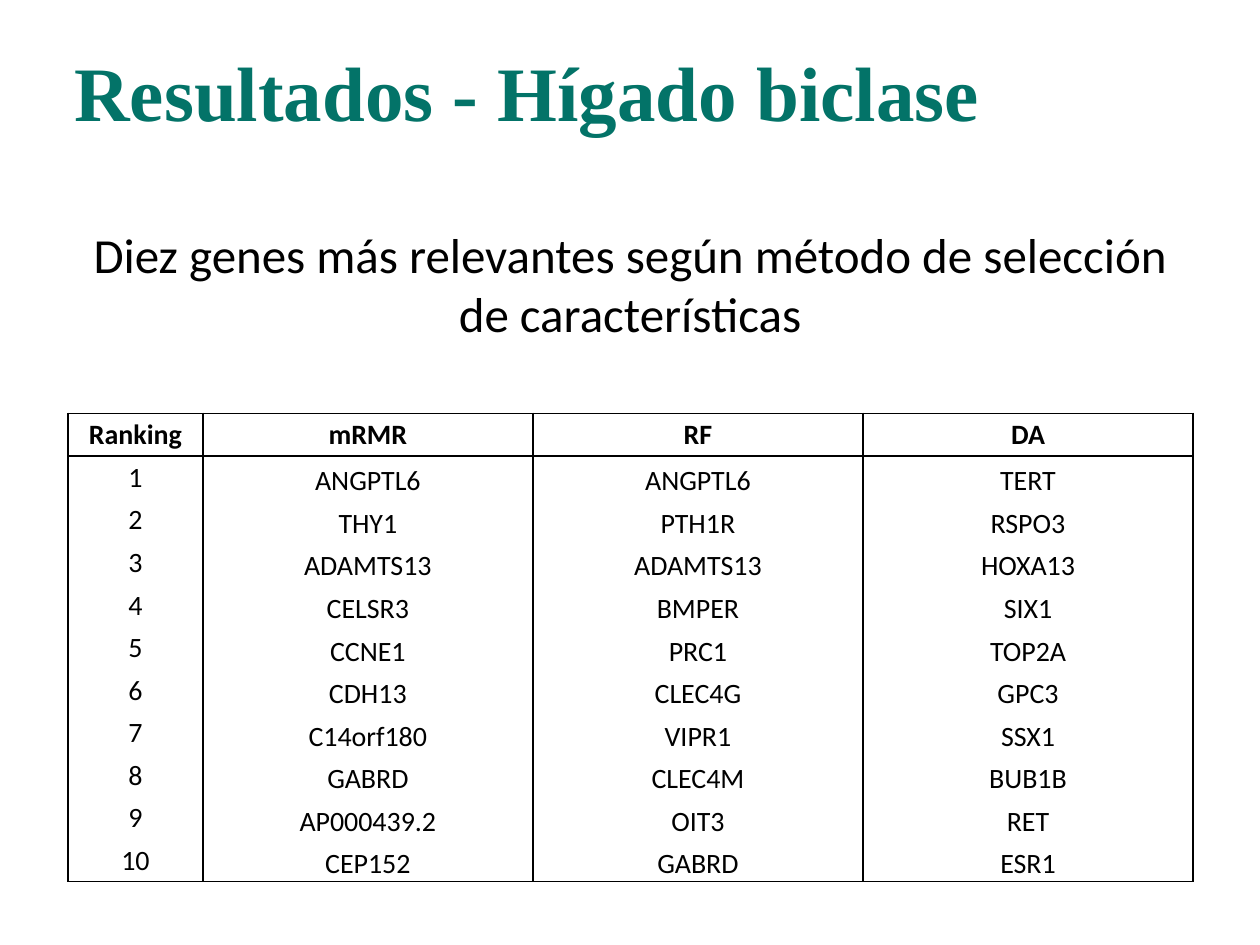
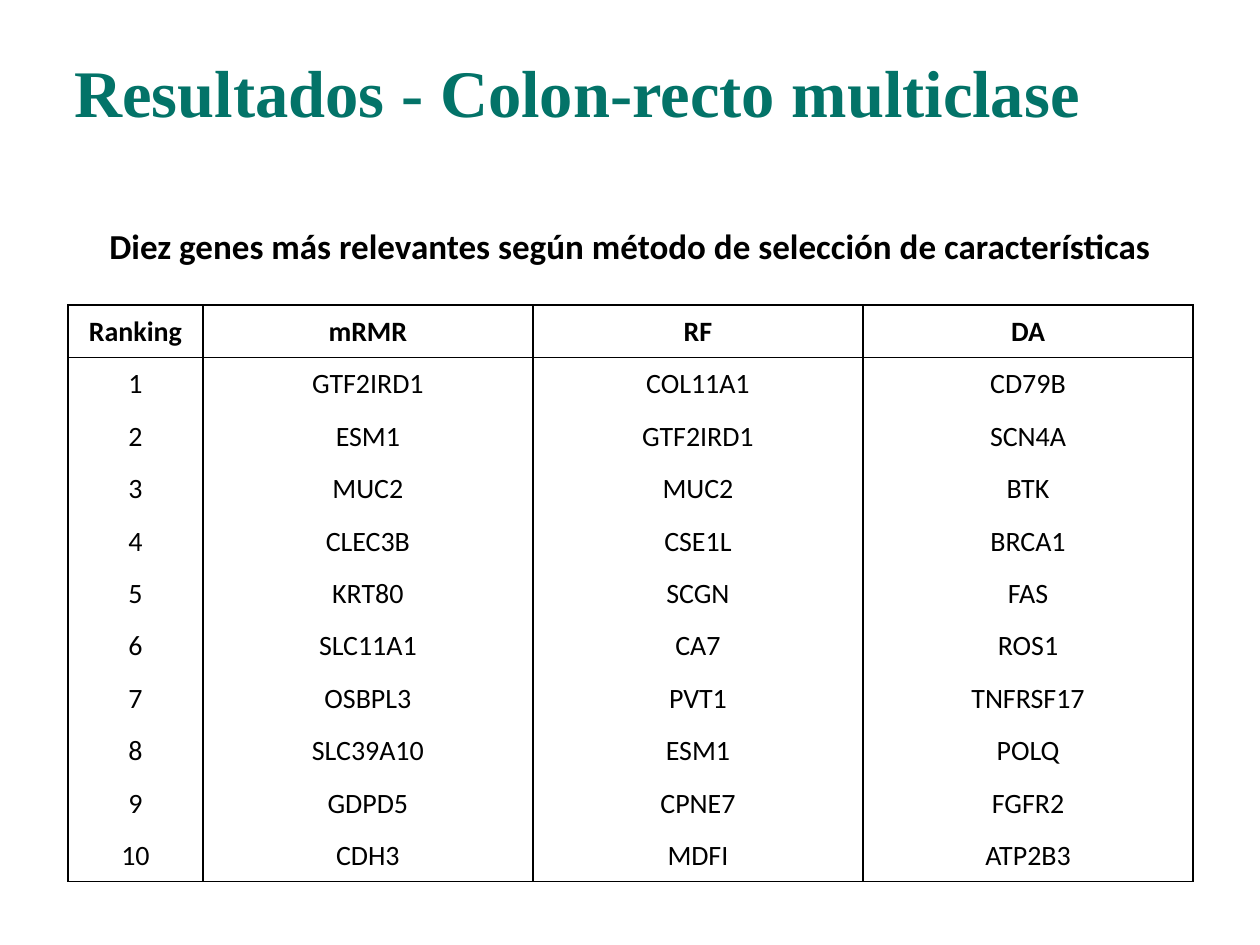
from lxml import etree
from pptx import Presentation
from pptx.dml.color import RGBColor
from pptx.enum.text import MSO_ANCHOR, PP_ALIGN
from pptx.oxml.ns import qn
from pptx.util import Inches, Pt

TOP, MIDDLE, BOTTOM = MSO_ANCHOR.TOP, MSO_ANCHOR.MIDDLE, MSO_ANCHOR.BOTTOM
LEFT, CENTER = PP_ALIGN.LEFT, PP_ALIGN.CENTER

GREEN, BLACK = "037368", "000000"
TITLE_FONT, BODY_FONT = "Times New Roman", "Calibri"
SUBTITLE = "Diez genes más relevantes según método de selección de características"
HEADER = ("Ranking", "mRMR", "RF", "DA")
COLUMN_WIDTHS = (1.07, 2.62, 2.62, 2.62)
TABLE_LEFT, TABLE_BOTTOM = 0.54, 7.0

LIVER_GENES = (
    ("ANGPTL6", "ANGPTL6", "TERT"),
    ("THY1", "PTH1R", "RSPO3"),
    ("ADAMTS13", "ADAMTS13", "HOXA13"),
    ("CELSR3", "BMPER", "SIX1"),
    ("CCNE1", "PRC1", "TOP2A"),
    ("CDH13", "CLEC4G", "GPC3"),
    ("C14orf180", "VIPR1", "SSX1"),
    ("GABRD", "CLEC4M", "BUB1B"),
    ("AP000439.2", "OIT3", "RET"),
    ("CEP152", "GABRD", "ESR1"),
)
COLON_GENES = (
    ("GTF2IRD1", "COL11A1", "CD79B"),
    ("ESM1", "GTF2IRD1", "SCN4A"),
    ("MUC2", "MUC2", "BTK"),
    ("CLEC3B", "CSE1L", "BRCA1"),
    ("KRT80", "SCGN", "FAS"),
    ("SLC11A1", "CA7", "ROS1"),
    ("OSBPL3", "PVT1", "TNFRSF17"),
    ("SLC39A10", "ESM1", "POLQ"),
    ("GDPD5", "CPNE7", "FGFR2"),
    ("CDH3", "MDFI", "ATP2B3"),
)


def color(value):
    """Turn a hex string into a colour."""
    return RGBColor.from_string(value)


def set_values(target, values):
    """Set attributes of an object from a dict."""
    for name, value in values.items():
        setattr(target, name, value)


def set_margins(target, margins):
    """Set left, top, right and bottom margins in inches."""
    for side, margin in zip(("left", "top", "right", "bottom"), margins):
        setattr(target, f"margin_{side}", Inches(margin))


def draw_borders(cell, sides):
    """Draw one-point borders on the given sides and clear the others."""
    properties = cell._tc.get_or_add_tcPr()
    for side in "LRTB":
        line = etree.SubElement(properties, qn(f"a:ln{side}"), w=str(Pt(1)))
        if side in sides:
            fill = etree.SubElement(line, qn("a:solidFill"))
            etree.SubElement(fill, qn("a:srgbClr"), val=BLACK)
        else:
            etree.SubElement(line, qn("a:noFill"))


class ResultsDeck:
    """Builds gene ranking slides in one style."""

    def __init__(self):
        """Start an empty deck."""
        self.deck = Presentation()
        self.deck.slide_width, self.deck.slide_height = Inches(10), Inches(7.5)
        self.page = None

    def add_page(self):
        """Start a new blank page."""
        self.page = self.deck.slides.add_slide(self.deck.slide_layouts[6])

    def add_text(self, frame, text, align, font, size, bold, ink=BLACK):
        """Put one formatted paragraph in a frame and return it."""
        para = frame.paragraphs[0]
        para.alignment = align
        span = para.add_run()
        span.text = text
        set_values(span.font, {"name": font, "size": Pt(size), "bold": bold})
        span.font.color.rgb = color(ink)
        return para

    def add_box(self, top, height, margins, anchor):
        """Add a full-width text box and return its frame."""
        box = self.page.shapes.add_textbox(0, Inches(top), Inches(10), Inches(height))
        set_values(box.text_frame, {"word_wrap": True, "vertical_anchor": anchor})
        set_margins(box.text_frame, margins)
        return box.text_frame

    def add_title(self, text, size):
        """Add the green page title."""
        frame = self.add_box(0, 1.34, (0.59, 0.24, 0.1, 0.05), MIDDLE)
        para = self.add_text(frame, text, LEFT, TITLE_FONT, size, True, GREEN)
        para.line_spacing = 0.9

    def add_subtitle(self, size, bold):
        """Add the centred line above the table."""
        frame = self.add_box(1.73, 5.41, (0.59, 0.05, 0.59, 0.05), TOP)
        self.add_text(frame, SUBTITLE, CENTER, BODY_FONT, size, bold)

    def add_ranking(self, genes, top, gene_anchor):
        """Add the table of ranked genes."""
        rows = [HEADER] + [(str(rank), *names) for rank, names in enumerate(genes, 1)]
        height = TABLE_BOTTOM - top
        table = self.page.shapes.add_table(
            len(rows), len(HEADER), Inches(TABLE_LEFT), Inches(top),
            Inches(sum(COLUMN_WIDTHS)), Inches(height)).table
        set_values(table, {"first_row": False, "horz_banding": False})
        for column, width in zip(table.columns, COLUMN_WIDTHS):
            column.width = Inches(width)
        for row_index, texts in enumerate(rows):
            table.rows[row_index].height = Inches(height / len(rows))
            is_header = row_index == 0
            sides = "LR" + "T" * (row_index < 2) + "B" * (row_index in (0, len(rows) - 1))
            for column_index, text in enumerate(texts):
                cell = table.cell(row_index, column_index)
                set_margins(cell, (0.01, 0.01, 0.01, 0))
                is_gene = not is_header and column_index > 0
                cell.vertical_anchor = gene_anchor if is_gene else MIDDLE
                self.add_text(cell.text_frame, text, CENTER, BODY_FONT, 16, is_header)
                draw_borders(cell, sides)
                cell.fill.background()


def main():
    """Build and save the deck."""
    results = ResultsDeck()
    pages = (
        ("Resultados - Hígado biclase", 44, 28, False, LIVER_GENES, 3.28, BOTTOM),
        ("Resultados - Colon-recto multiclase", 38, 20, True, COLON_GENES, 2.42, MIDDLE),
    )
    for title, title_size, subtitle_size, bold, genes, table_top, gene_anchor in pages:
        results.add_page()
        results.add_subtitle(subtitle_size, bold)
        results.add_title(title, title_size)
        results.add_ranking(genes, table_top, gene_anchor)
    results.deck.save("out.pptx")


if __name__ == "__main__":
    main()
